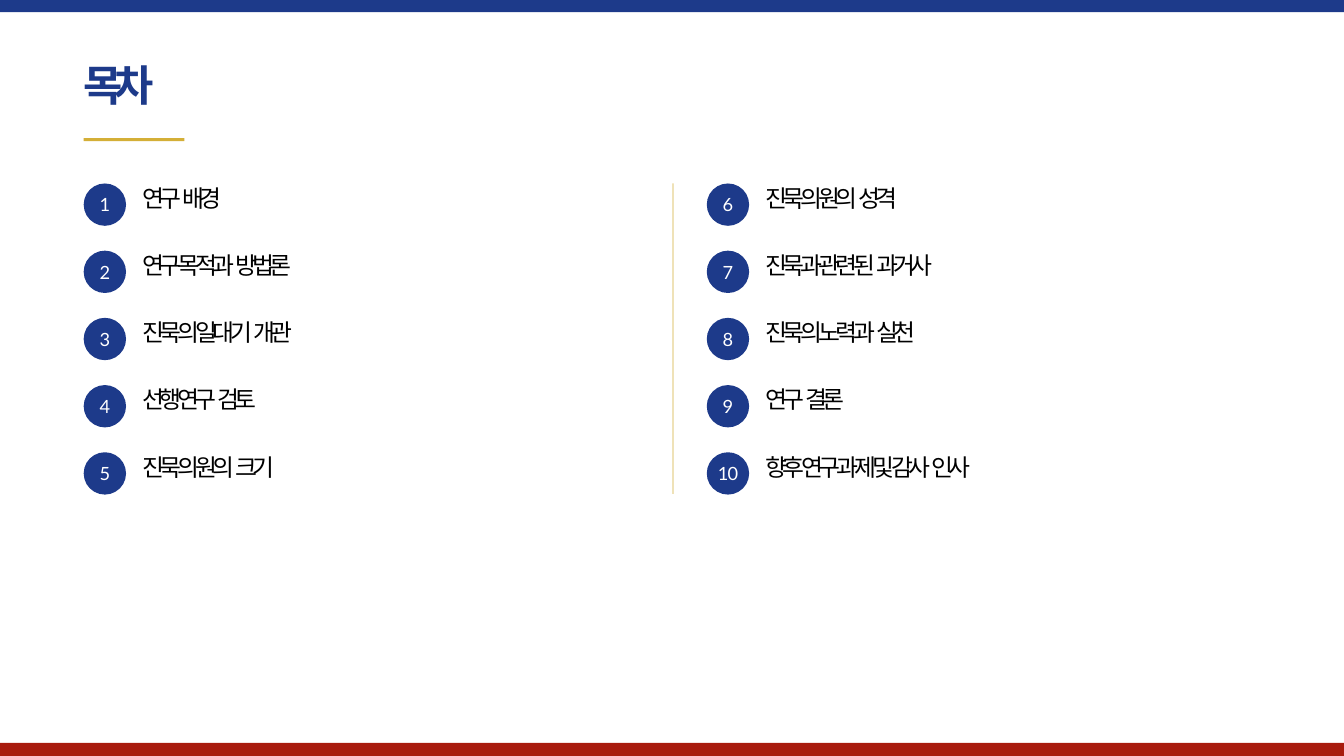
from lxml import etree
from pptx import Presentation
from pptx.dml.color import RGBColor
from pptx.enum.shapes import MSO_SHAPE
from pptx.enum.text import MSO_ANCHOR, PP_ALIGN
from pptx.oxml.ns import qn
from pptx.util import Inches, Pt

RECTANGLE, OVAL = MSO_SHAPE.RECTANGLE, MSO_SHAPE.OVAL
TOP, MIDDLE = MSO_ANCHOR.TOP, MSO_ANCHOR.MIDDLE
LEFT, CENTER = PP_ALIGN.LEFT, PP_ALIGN.CENTER

HEADING = "목차"
TOPICS = [
    ("연구 ", "배경"),
    ("연구 목적과 ", "방법론"),
    ("진묵의 일대기 ", "개관"),
    ("선행연구 ", "검토"),
    ("진묵의 원의 ", "크기"),
    ("진묵의 원의 ", "성격"),
    ("진묵과 관련된 ", "과거사"),
    ("진묵의 노력과 ", "실천"),
    ("연구 ", "결론"),
    ("향후 연구 과제 및 감사 ", "인사"),
]
COLORS = {"navy": "1D3A8A", "gold": "D4AF37", "red": "A81B0D", "white": "FFFFFF", "black": "000000"}
KOREAN = "Noto Sans CJK KR"
STYLES = {
    "heading": {"name": KOREAN, "size": Pt(30.5), "bold": True, "color": "navy"},
    "topic": {"name": KOREAN, "size": Pt(17), "bold": False, "color": "black"},
    "number": {"name": "Lato", "size": Pt(13), "bold": False, "color": "white"},
}
BANDS = [
    (0, 0, 13.33, 0.12, "navy"),
    (0.83, 1.37, 1, 0.03, "gold"),
    (6.67, 1.82, 0.01, 3.08, "gold"),
    (0, 7.37, 13.33, 0.13, "red"),
]
COLUMN_LEFTS = (0.83, 7.01)
ROWS = 5
FIRST_TOP, ROW_PITCH = 1.82, 2 / 3
BADGE = 0.42
TOPIC_OFFSET = 0.57
TOPIC_WIDTH = 2.3


def add_filled(slide, kind, left, top, width, height, color):
    shape = slide.shapes.add_shape(kind, Inches(left), Inches(top), Inches(width), Inches(height))
    shape.shadow.inherit = False
    shape.fill.solid()
    shape.fill.fore_color.rgb = RGBColor.from_string(COLORS[color])
    shape.line.fill.background()
    return shape


def write(shape, pieces, style, anchor=TOP, align=LEFT, wrap=True, inset=(0, 0)):
    frame = shape.text_frame
    layout = {
        "word_wrap": wrap,
        "vertical_anchor": anchor,
        "margin_left": Inches(inset[0]),
        "margin_top": Inches(inset[1]),
        "margin_right": 0,
        "margin_bottom": 0,
    }
    for key, value in layout.items():
        setattr(frame, key, value)
    paragraph = frame.paragraphs[0]
    paragraph.alignment = align
    values = dict(STYLES[style])
    color = RGBColor.from_string(COLORS[values.pop("color")])
    for words, spacing in pieces:
        run = paragraph.add_run()
        run.text = words
        for key, value in values.items():
            setattr(run.font, key, value)
        run.font.color.rgb = color
        properties = run._r.get_or_add_rPr()
        properties.set("spc", str(round(spacing * 100)))
        etree.SubElement(properties, qn("a:ea")).set("typeface", values["name"])


def add_text(slide, left, top, width, height, pieces, style):
    box = slide.shapes.add_textbox(Inches(left), Inches(top), Inches(width), Inches(height))
    write(box, pieces, style, inset=(0.01, 0.02))


def main():
    deck = Presentation()
    deck.slide_width, deck.slide_height = Inches(13.33), Inches(7.5)
    slide = deck.slides.add_slide(deck.slide_layouts[6])

    for band in BANDS:
        add_filled(slide, RECTANGLE, *band)
    add_text(slide, 0.82, 0.56, 4.35, 0.54, [(HEADING, -6)], "heading")

    for index, (opening, ending) in enumerate(TOPICS):
        column, row = divmod(index, ROWS)
        left = COLUMN_LEFTS[column]
        top = FIRST_TOP + row * ROW_PITCH
        badge = add_filled(slide, OVAL, left, top, BADGE, BADGE, "navy")
        write(badge, [(str(index + 1), -0.5)], "number", MIDDLE, CENTER, wrap=False)
        add_text(slide, left + TOPIC_OFFSET, top - 0.02, TOPIC_WIDTH, 0.31,
                 [(opening, -3.2), (ending, -3.5)], "topic")

    deck.save("out.pptx")


if __name__ == "__main__":
    main()
